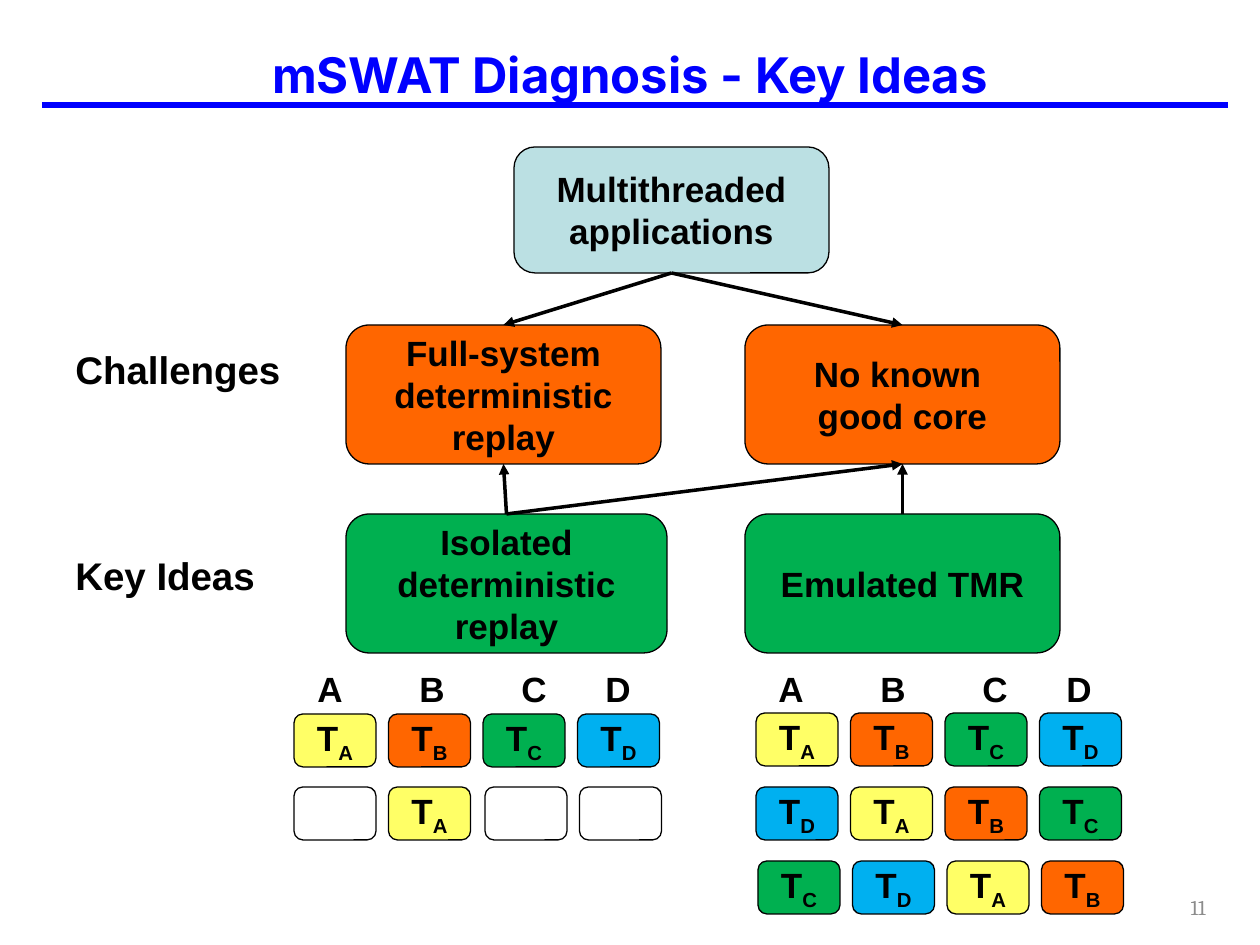
from pptx import Presentation
from pptx import util as u
from pptx.dml.color import RGBColor
from pptx.enum import shapes, text
from pptx.oxml.ns import qn
from lxml import etree

THEME = {
    "title": ("Inter", 28, "0000FF", True),
    "label": ("Arial", 22, "000000", True),
    "body": ("Arial", 20, "000000", True),
    "number": ("Cambria", 12, "8C8C8C", False),
    "rule": "0000FF", "ink": "000000",
    "application": "BBE0E3", "challenge": "FF6600", "idea": "00B050",
    "A": "FFFF66", "B": "FF6600", "C": "00B050", "D": "00B0F0",
}
TITLE = "mSWAT Diagnosis - Key Ideas"
PAGE_NUMBER = "11"
ROW_LABELS = [("Challenges", (63, 340, 233, 59)), ("Key Ideas", (63, 546, 207, 59))]
NODES = {
    "apps": ("application", (514, 147, 315, 126), ["Multithreaded applications"]),
    "replay": ("challenge", (346, 325, 315, 139), ["Full-system deterministic replay"]),
    "core": ("challenge", (745, 325, 315, 139), ["No known ", "good core"]),
    "isolated": ("idea", (346, 514, 321, 139), ["Isolated deterministic replay"]),
    "tmr": ("idea", (745, 514, 315, 139), ["Emulated TMR"]),
}
TOP, BOTTOM = 0, 2
ARROWS = [
    ("apps", BOTTOM, "replay", TOP), ("apps", BOTTOM, "core", TOP),
    ("isolated", TOP, "replay", BOTTOM), ("isolated", TOP, "core", BOTTOM),
    ("tmr", TOP, "core", BOTTOM),
]
CORES = "A\tB\tC\tD"
CORE_LEFTS = [305, 766]
CORE_TABS = [102, 204, 288]
IDLE = "-"
THREAD_ROWS = [
    (294, 714, "ABCD"), (294, 787, "-A"), (485, 787, "--"),
    (756, 713, "ABCD"), (756, 787, "DABC"), (758, 861, "CDAB"),
]
TILE_WIDTH, TILE_HEIGHT, TILE_PITCH = 82, 53, 94.5

PIXEL = u.Inches(1) / 126


def emu(*lengths):
    return [u.Emu(round(length * PIXEL)) for length in lengths]


def color(name):
    return RGBColor.from_string(THEME[name])


def add_span(para, words, style, baseline=None):
    span = para.add_run()
    span.text = words
    family, size, ink, bold = THEME[style]
    span.font.name, span.font.size, span.font.bold = family, u.Pt(size), bold
    span.font.color.rgb = RGBColor.from_string(ink)
    if baseline:
        span.font._element.set("baseline", str(baseline))


def add_text(words, place, style, align="LEFT", anchor="TOP", wrap=True):
    box = page.shapes.add_textbox(*emu(*place))
    frame = box.text_frame
    frame.word_wrap = wrap
    frame.vertical_anchor = text.MSO_ANCHOR[anchor]
    para = frame.paragraphs[0]
    para.alignment = text.PP_ALIGN[align]
    add_span(para, words, style)
    return para


def add_rounded(place, fill=None):
    box = page.shapes.add_shape(shapes.MSO_SHAPE.ROUNDED_RECTANGLE, *emu(*place))
    box.shadow.inherit = False
    if fill:
        box.fill.solid()
        box.fill.fore_color.rgb = color(fill)
    else:
        box.fill.background()
    box.line.color.rgb = color("ink")
    box.line.width = u.Pt(0.75)
    box.text_frame.word_wrap = True
    box.text_frame.vertical_anchor = text.MSO_ANCHOR.MIDDLE
    box.text_frame.paragraphs[0].alignment = text.PP_ALIGN.CENTER
    return box


def add_line(ends, ink, width):
    line = page.shapes.add_connector(shapes.MSO_CONNECTOR.STRAIGHT, *emu(*ends))
    line.line.color.rgb = color(ink)
    line.line.width = u.Pt(width)
    etree.SubElement(line._element.spPr, qn("a:effectLst"))
    return line


deck = Presentation()
deck.slide_width, deck.slide_height = u.Inches(10), u.Inches(7.5)
page = deck.slides.add_slide(deck.slide_layouts[6])

add_line((42, 105, 1228, 105), "rule", 3)
add_text(TITLE, (0, 21, 1260, 105), "title", "CENTER", "MIDDLE")
add_text(PAGE_NUMBER, (924, 882, 294, 50), "number", "RIGHT", "MIDDLE")
for words, place in ROW_LABELS:
    add_text(words, place, "label", wrap=False)

node_boxes = {}
for name, (kind, place, lines) in NODES.items():
    box = node_boxes[name] = add_rounded(place, kind)
    for index, words in enumerate(lines):
        para = box.text_frame.add_paragraph() if index else box.text_frame.paragraphs[0]
        para.alignment = text.PP_ALIGN.CENTER
        add_span(para, words, "body")

for source, source_side, target, target_side in ARROWS:
    arrow = add_line((0, 0, 0, 0), "ink", 2)
    arrow.begin_connect(node_boxes[source], source_side)
    arrow.end_connect(node_boxes[target], target_side)
    etree.SubElement(arrow.line._get_or_add_ln(), qn("a:tailEnd"), type="triangle")

for left in CORE_LEFTS:
    para = add_text(CORES, (left, 661, 357, 55), "body")
    stops = etree.SubElement(para._p.get_or_add_pPr(), qn("a:tabLst"))
    for stop in emu(*CORE_TABS):
        etree.SubElement(stops, qn("a:tab"), pos=str(stop), algn="l")

for left, top, threads in THREAD_ROWS:
    for column, thread in enumerate(threads):
        place = (left + column * TILE_PITCH, top, TILE_WIDTH, TILE_HEIGHT)
        if thread == IDLE:
            add_rounded(place)
            continue
        para = add_rounded(place, thread).text_frame.paragraphs[0]
        add_span(para, "T", "body")
        add_span(para, thread, "body", -25000)

deck.save("out.pptx")
